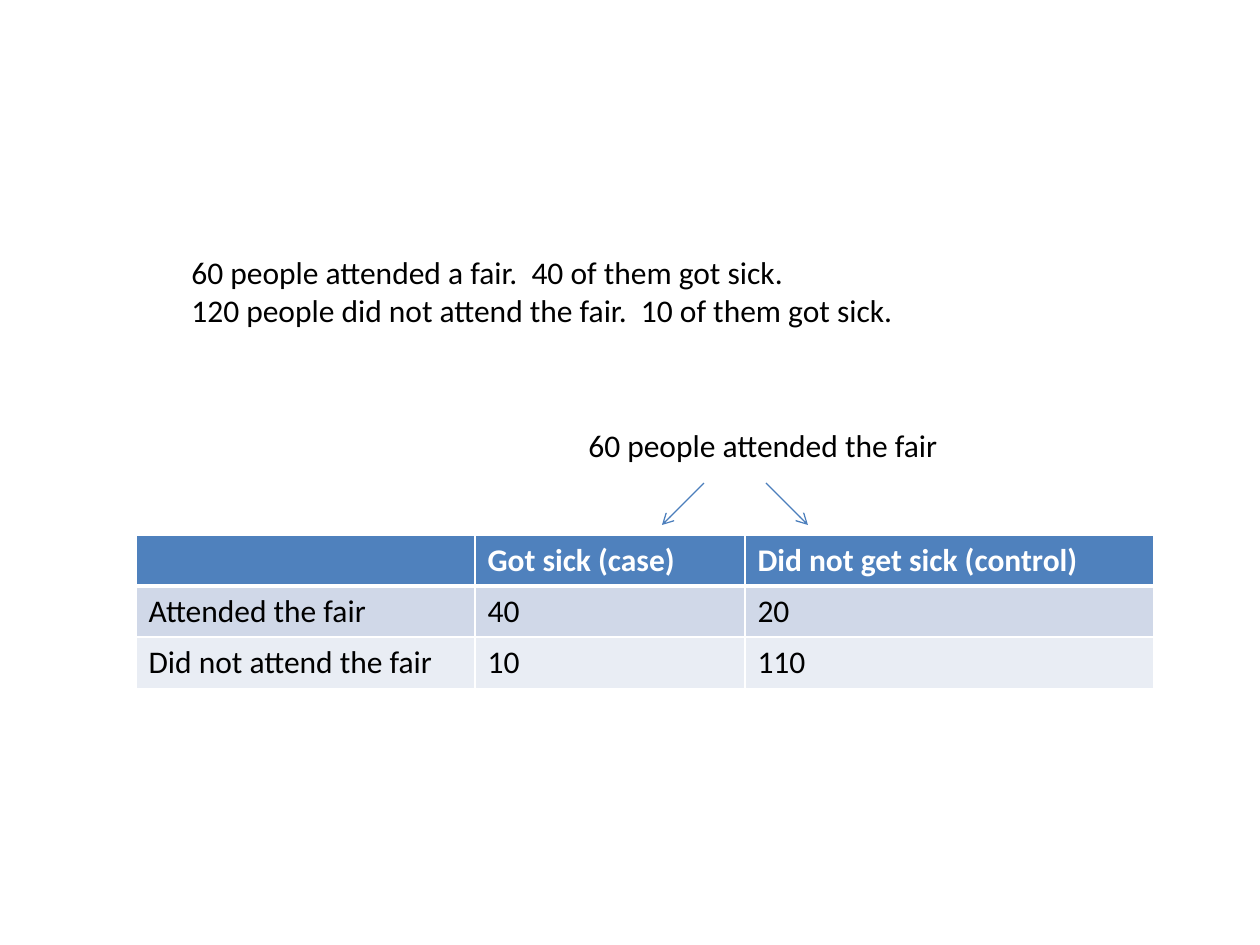
from typing import NamedTuple

from lxml.etree import SubElement
from pptx import Presentation
from pptx.dml.color import RGBColor
from pptx.enum.shapes import MSO_CONNECTOR
from pptx.oxml.ns import qn
from pptx.util import Pt

PIXEL = 914400 // 126
FONT = "Calibri"
FONT_SIZE = 18
BLACK, WHITE = "000000", "FFFFFF"
HEADER_BLUE, ARROW_BLUE = "4F81BD", "4B7EBC"
ROW_FILLS = (HEADER_BLUE, "D0D8E8", "E9EDF4")


class Caption(NamedTuple):
    """A text box with one paragraph per line."""
    left: int
    top: int
    width: int
    height: int
    lines: tuple[str, ...]


class Arrow(NamedTuple):
    """A straight arrow from start to end."""
    start_x: int
    start_y: int
    end_x: int
    end_y: int


CAPTIONS = (
    Caption(179, 247, 736, 89, (
        "60 people attended a fair.  40 of them got sick.",
        "120 people did not attend the fair.  10 of them got sick.",
    )),
    Caption(576, 420, 379, 51, ("60 people attended the fair",)),
)
ARROWS = (Arrow(704, 483, 662, 525), Arrow(766, 483, 808, 525))

TABLE_LEFT, TABLE_TOP = 136, 535
COLUMN_WIDTHS = (339, 270, 409)
ROW_HEIGHT = 51
ROWS = (
    ("", "Got sick (case)", "Did not get sick (control)"),
    ("Attended the fair", "40", "20"),
    ("Did not attend the fair", "10", "110"),
)


def px(pixels: int) -> int:
    """Turn pixels into EMU."""
    return pixels * PIXEL


def color(value: str) -> RGBColor:
    """Turn a hex string into a colour."""
    return RGBColor.from_string(value)


def style_font(paragraph, value: str, bold: bool = False) -> None:
    """Set the shared font on a paragraph."""
    font = paragraph.font
    font.name, font.size, font.bold = FONT, Pt(FONT_SIZE), bold
    font.color.rgb = color(value)


def add_caption(slide, caption: Caption) -> None:
    """Add a text box."""
    shape = slide.shapes.add_textbox(*map(px, caption[:4]))
    frame = shape.text_frame
    frame.word_wrap = False
    frame.text = "\n".join(caption.lines)
    for paragraph in frame.paragraphs:
        style_font(paragraph, BLACK)


def add_arrow(slide, arrow: Arrow) -> None:
    """Add a thin connector with an open arrowhead at its end."""
    connector = slide.shapes.add_connector(MSO_CONNECTOR.STRAIGHT, *map(px, arrow))
    connector.line.color.rgb = color(ARROW_BLUE)
    connector.line.width = Pt(0.75)
    SubElement(connector.line._get_or_add_ln(), qn("a:tailEnd"), type="arrow")
    SubElement(connector._element.spPr, qn("a:effectLst"))


def add_borders(cell, top: int, bottom: int) -> None:
    """Give a cell white borders; top and bottom are in points."""
    properties = cell._tc.get_or_add_tcPr()
    for side, width in (("L", 1), ("R", 1), ("T", top), ("B", bottom)):
        border = SubElement(properties, qn(f"a:ln{side}"), w=str(Pt(width)))
        fill = SubElement(border, qn("a:solidFill"))
        SubElement(fill, qn("a:srgbClr"), val=WHITE)


def add_case_table(slide) -> None:
    """Add the table of cases and controls."""
    table = slide.shapes.add_table(
        len(ROWS), len(COLUMN_WIDTHS), px(TABLE_LEFT), px(TABLE_TOP),
        px(sum(COLUMN_WIDTHS)), px(ROW_HEIGHT * len(ROWS))).table
    for column, width in zip(table.columns, COLUMN_WIDTHS):
        column.width = px(width)
    for row_index, (texts, fill) in enumerate(zip(ROWS, ROW_FILLS)):
        is_header = row_index == 0
        for cell, text in zip(table.rows[row_index].cells, texts):
            cell.text = text
            style_font(cell.text_frame.paragraphs[0],
                       WHITE if is_header else BLACK, is_header)
            add_borders(cell, 3 if row_index == 1 else 1, 3 if is_header else 1)
            cell.fill.solid()
            cell.fill.fore_color.rgb = color(fill)


def main() -> None:
    """Build and save the slide."""
    presentation = Presentation()
    presentation.slide_width, presentation.slide_height = px(1260), px(945)
    slide = presentation.slides.add_slide(presentation.slide_layouts[6])
    add_case_table(slide)
    for caption in CAPTIONS:
        add_caption(slide, caption)
    for arrow in ARROWS:
        add_arrow(slide, arrow)
    presentation.save("out.pptx")


main()
